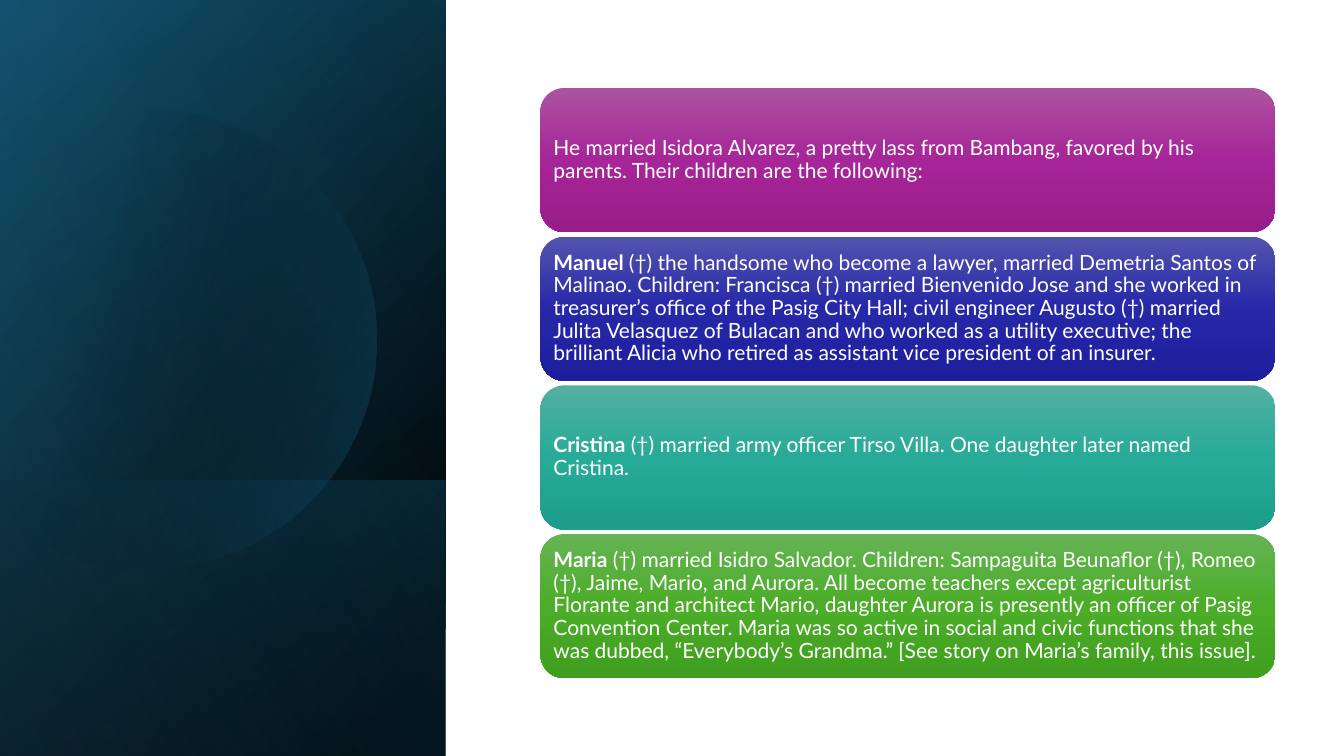
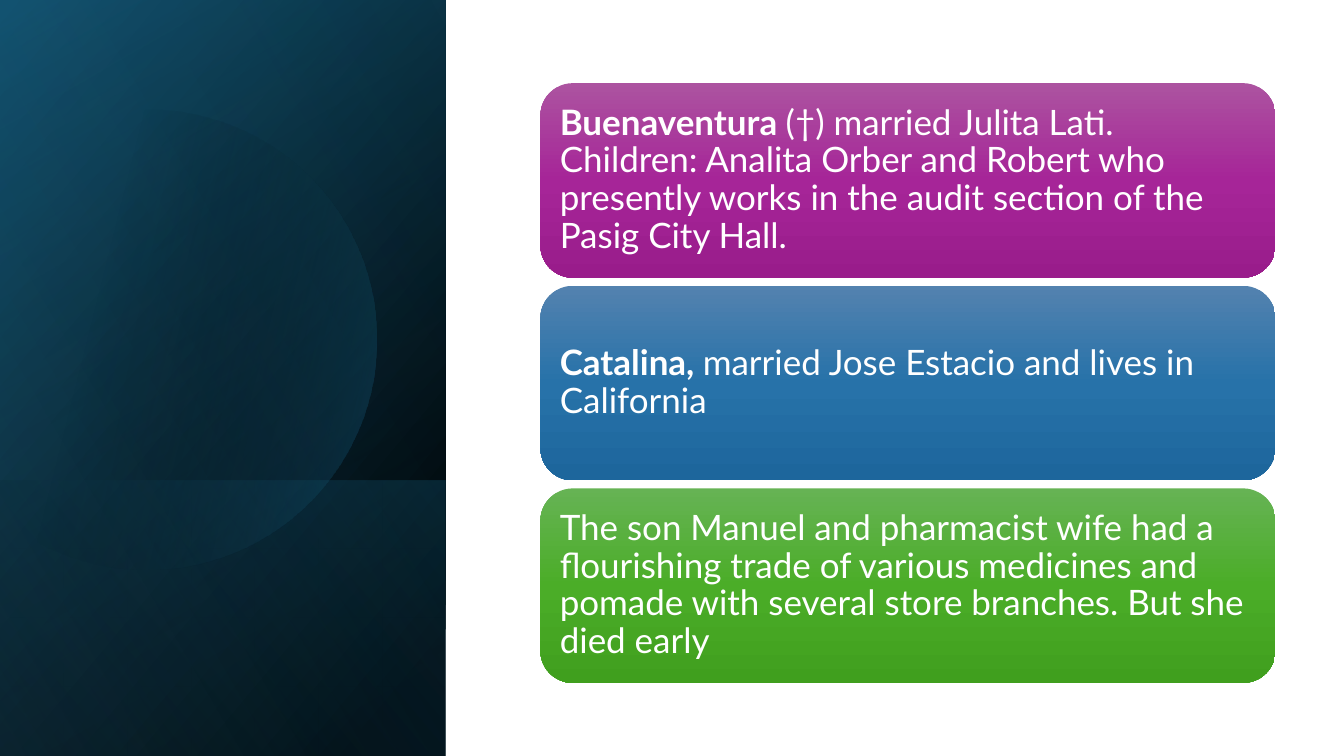
from dataclasses import dataclass
from math import acos, cos, pi, sin

from lxml.etree import SubElement
from pptx import Presentation
from pptx.dml.color import RGBColor
from pptx.enum.shapes import MSO_SHAPE
from pptx.enum.text import MSO_ANCHOR, PP_ALIGN
from pptx.oxml.ns import qn
from pptx.oxml.xmlchemy import OxmlElement
from pptx.presentation import Presentation as Deck
from pptx.shapes.autoshape import Shape
from pptx.slide import Slide
from pptx.util import Inches, Pt

SLIDE_WIDTH = Inches(13.33)
SLIDE_HEIGHT = Inches(7.5)
FONT = "Lato"
COLORS = {
    "black": "000000",
    "white": "FFFFFF",
    "navy": "104862",
    "teal": "156082",
    "sky": "46B1E1",
}
CARD_COLORS = {
    "purple": ("AC53A0", "A62598", "991C8B"),
    "indigo": ("5354AE", "2628A8", "1D1E9B"),
    "green_blue": ("53B0A1", "27AB98", "1D9D8B"),
    "blue": ("5382AF", "2772A9", "1D669C"),
    "green": ("66B354", "4BAD28", "409F1E"),
}
PANEL_WIDTH = 33.16
CARD_LEFT = 40.21
CARD_WIDTH = 54.69
STACK_MIDDLE = 50.67


@dataclass(frozen=True)
class Stop:
    position: int
    color: str
    opacity: int = 100


@dataclass(frozen=True)
class Layer:
    stops: tuple[Stop, ...]
    angle: int
    top: float = 0


@dataclass(frozen=True)
class Card:
    colors: str
    name: str
    story: str


@dataclass(frozen=True)
class Stack:
    cards: tuple[Card, ...]
    card_height: float
    gap: float
    text_size: int
    inset: float


LAYERS_BELOW = (
    Layer((Stop(8, COLORS["black"]), Stop(100, COLORS["navy"])), 50),
    Layer((Stop(0, COLORS["black"], 0), Stop(99, COLORS["teal"], 46)), 30),
    Layer((Stop(2, COLORS["teal"], 29), Stop(100, COLORS["black"], 30)), 130, 63.5),
)
DISC_STOPS = (Stop(29, COLORS["black"], 0), Stop(100, COLORS["teal"], 43))
LAYER_ABOVE = Layer(
    (Stop(0, COLORS["black"], 0), Stop(99, COLORS["sky"], 11)), 120
)

STACKS = (
    Stack(
        (
            Card(
                "purple",
                "",
                "He married Isidora Alvarez, a pretty lass from Bambang, favored by "
                "his parents. Their children are the following:",
            ),
            Card(
                "indigo",
                "Manuel ",
                "(†) the handsome who become a lawyer, married Demetria Santos of "
                "Malinao. Children: Francisca (†) married Bienvenido Jose and she "
                "worked in treasurer’s office of the Pasig City Hall; civil engineer "
                "Augusto (†) married Julita Velasquez of Bulacan and who worked as a "
                "utility executive; the brilliant Alicia who retired as assistant "
                "vice president of an insurer.",
            ),
            Card(
                "green_blue",
                "Cristina ",
                "(†) married army officer Tirso Villa. One daughter later named "
                "Cristina.",
            ),
            Card(
                "green",
                "Maria",
                " (†) married Isidro Salvador. Children: Sampaguita Beunaflor (†), "
                "Romeo (†), Jaime, Mario, and Aurora. All become teachers except "
                "agriculturist Florante and architect Mario, daughter Aurora is "
                "presently an officer of Pasig Convention Center. Maria was so active "
                "in social and civic functions that she was dubbed, “Everybody’s "
                "Grandma.” [See story on Maria’s family, this issue].",
            ),
        ),
        card_height=19.07,
        gap=0.6,
        text_size=15,
        inset=0.06,
    ),
    Stack(
        (
            Card(
                "purple",
                "Buenaventura ",
                "(†) married Julita Lati. Children: Analita Orber and Robert who "
                "presently works in the audit section of the Pasig City Hall.",
            ),
            Card(
                "blue",
                "Catalina, ",
                "married Jose Estacio and lives in California",
            ),
            Card(
                "green",
                "",
                "The son Manuel and pharmacist wife had a flourishing trade of various "
                "medicines and pomade with several store branches. But she died early",
            ),
        ),
        card_height=25.73,
        gap=1.07,
        text_size=25,
        inset=0.1,
    ),
)


def across(percent: float) -> int:
    return round(SLIDE_WIDTH * percent / 100)


def down(percent: float) -> int:
    return round(SLIDE_HEIGHT * percent / 100)


def paint(shape: Shape, stops: tuple[Stop, ...], angle: int) -> None:
    shape.shadow.inherit = False
    shape.line.fill.background()
    shape.fill.background()
    gradient = OxmlElement("a:gradFill")
    gradient.set("rotWithShape", "1")
    stop_list = SubElement(gradient, qn("a:gsLst"))
    for stop in stops:
        mark = SubElement(stop_list, qn("a:gs"), pos=str(stop.position * 1000))
        color = SubElement(mark, qn("a:srgbClr"), val=stop.color)
        if stop.opacity < 100:
            SubElement(color, qn("a:alpha"), val=str(stop.opacity * 1000))
    SubElement(gradient, qn("a:lin"), ang=str(angle * 60000), scaled="0")
    properties = shape._element.spPr
    properties.replace(properties.find(qn("a:noFill")), gradient)


def add_layer(page: Slide, layer: Layer) -> None:
    width, height = across(PANEL_WIDTH), down(100 - layer.top)
    left = (width - height) // 2
    top = down(layer.top) + (height - width) // 2
    shape = page.shapes.add_shape(MSO_SHAPE.RECTANGLE, left, top, height, width)
    shape.rotation = 90
    shape._element.spPr.xfrm.set("flipH", "1")
    paint(shape, layer.stops, layer.angle)


def add_disc(page: Slide) -> None:
    center_x, center_y, radius = across(10.88), down(44.93), down(30.4)
    reach = pi - acos(center_x / radius)
    steps = 120
    angles = [reach * (2 * step / steps - 1) for step in range(steps + 1)]
    points = [
        (round(center_x + radius * cos(angle)), round(center_y + radius * sin(angle)))
        for angle in angles
    ]
    builder = page.shapes.build_freeform(*points[0])
    builder.add_line_segments(points[1:], close=True)
    paint(builder.convert_to_shape(), DISC_STOPS, 14)


def add_panel(page: Slide) -> None:
    for layer in LAYERS_BELOW:
        add_layer(page, layer)
    add_disc(page)
    add_layer(page, LAYER_ABOVE)


def add_card(page: Slide, stack: Stack, card: Card, top: float) -> None:
    box = page.shapes.add_shape(
        MSO_SHAPE.ROUNDED_RECTANGLE,
        across(CARD_LEFT),
        down(top),
        across(CARD_WIDTH),
        down(stack.card_height),
    )
    stops = tuple(
        Stop(50 * index, color)
        for index, color in enumerate(CARD_COLORS[card.colors])
    )
    paint(box, stops, 90)
    frame = box.text_frame
    frame.word_wrap = True
    frame.vertical_anchor = MSO_ANCHOR.MIDDLE
    frame.margin_left = frame.margin_right = Inches(stack.inset)
    frame.margin_top = frame.margin_bottom = Inches(stack.inset)
    para = frame.paragraphs[0]
    para.alignment = PP_ALIGN.LEFT
    para.line_spacing = 0.9
    for text, bold in ((card.name, True), (card.story, False)):
        if text:
            span = para.add_run()
            span.text = text
            span.font.bold = bold
            span.font.name = FONT
            span.font.size = Pt(stack.text_size)
            span.font.color.rgb = RGBColor.from_string(COLORS["white"])


def add_page(deck: Deck, stack: Stack) -> None:
    page = deck.slides.add_slide(deck.slide_layouts[6])
    add_panel(page)
    pitch = stack.card_height + stack.gap
    first_top = STACK_MIDDLE - (len(stack.cards) * pitch - stack.gap) / 2
    for index, card in enumerate(stack.cards):
        add_card(page, stack, card, first_top + index * pitch)


def main() -> None:
    deck = Presentation()
    deck.slide_width = SLIDE_WIDTH
    deck.slide_height = SLIDE_HEIGHT
    for stack in STACKS:
        add_page(deck, stack)
    deck.save("out.pptx")


if __name__ == "__main__":
    main()
